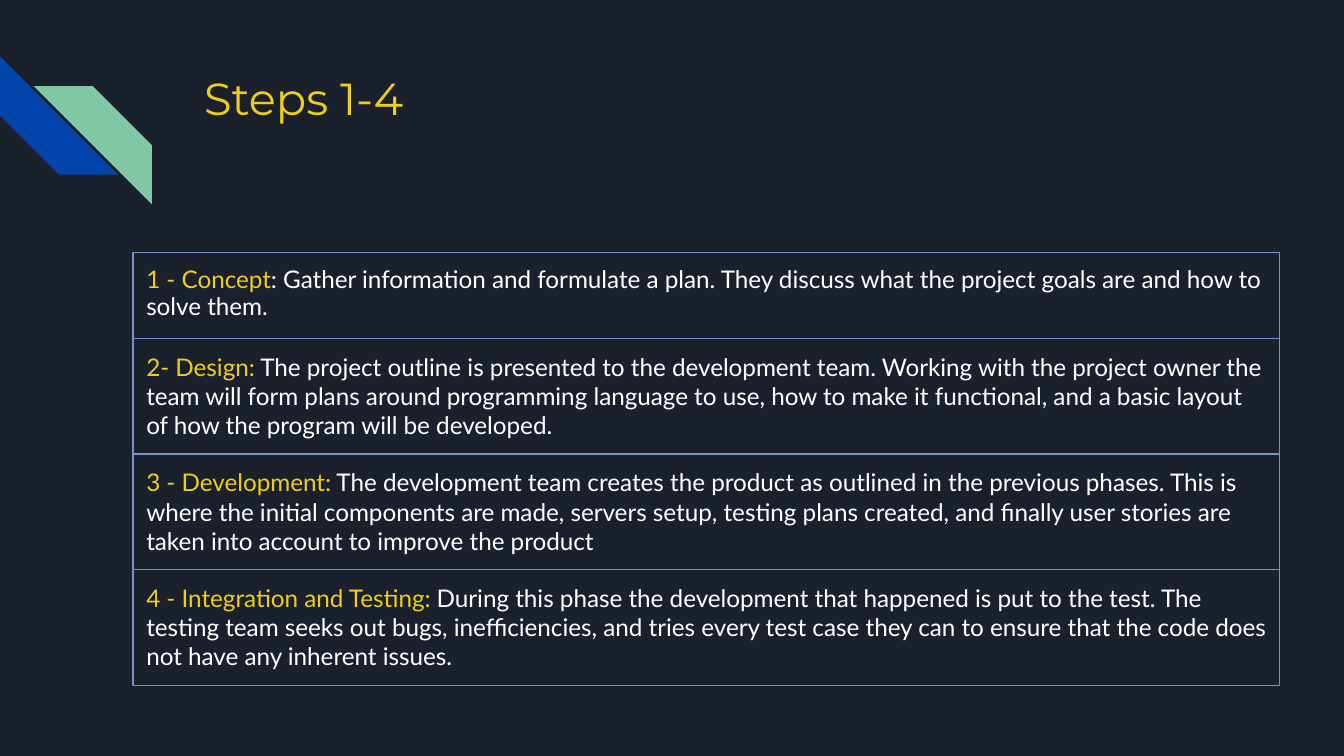
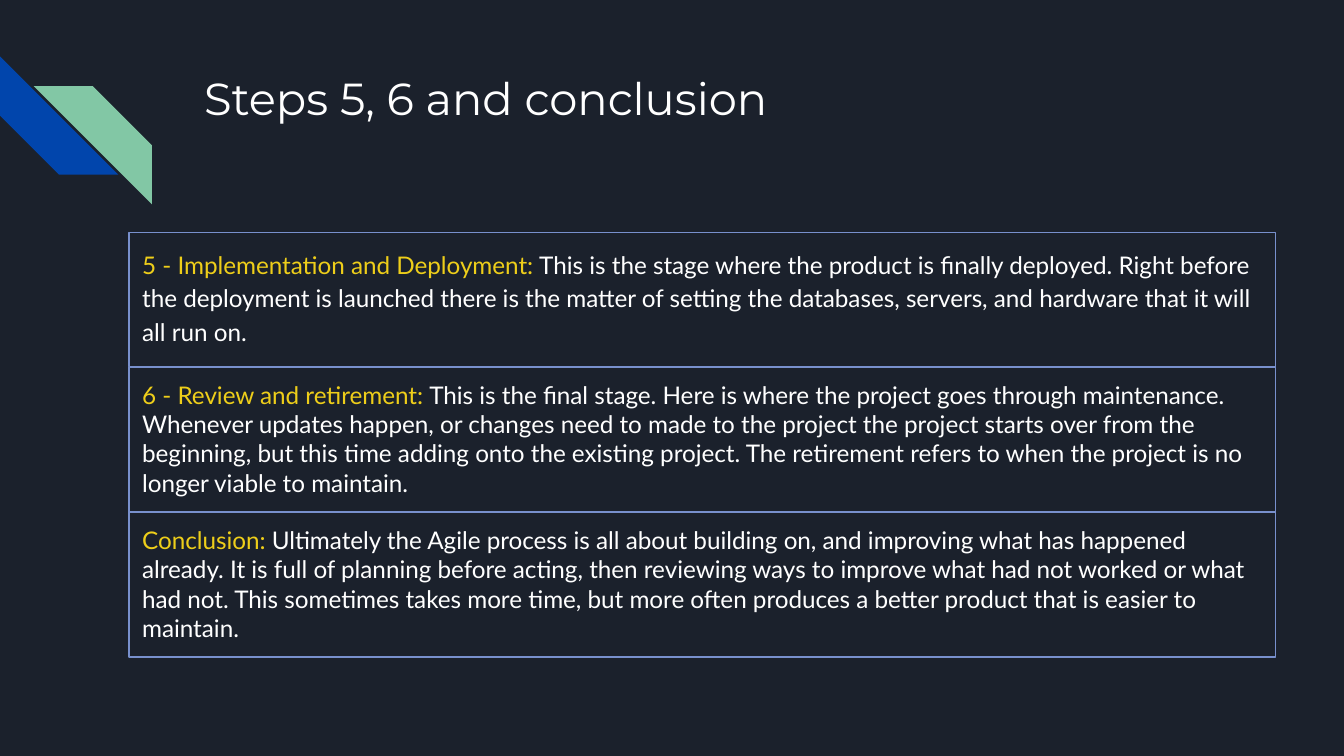
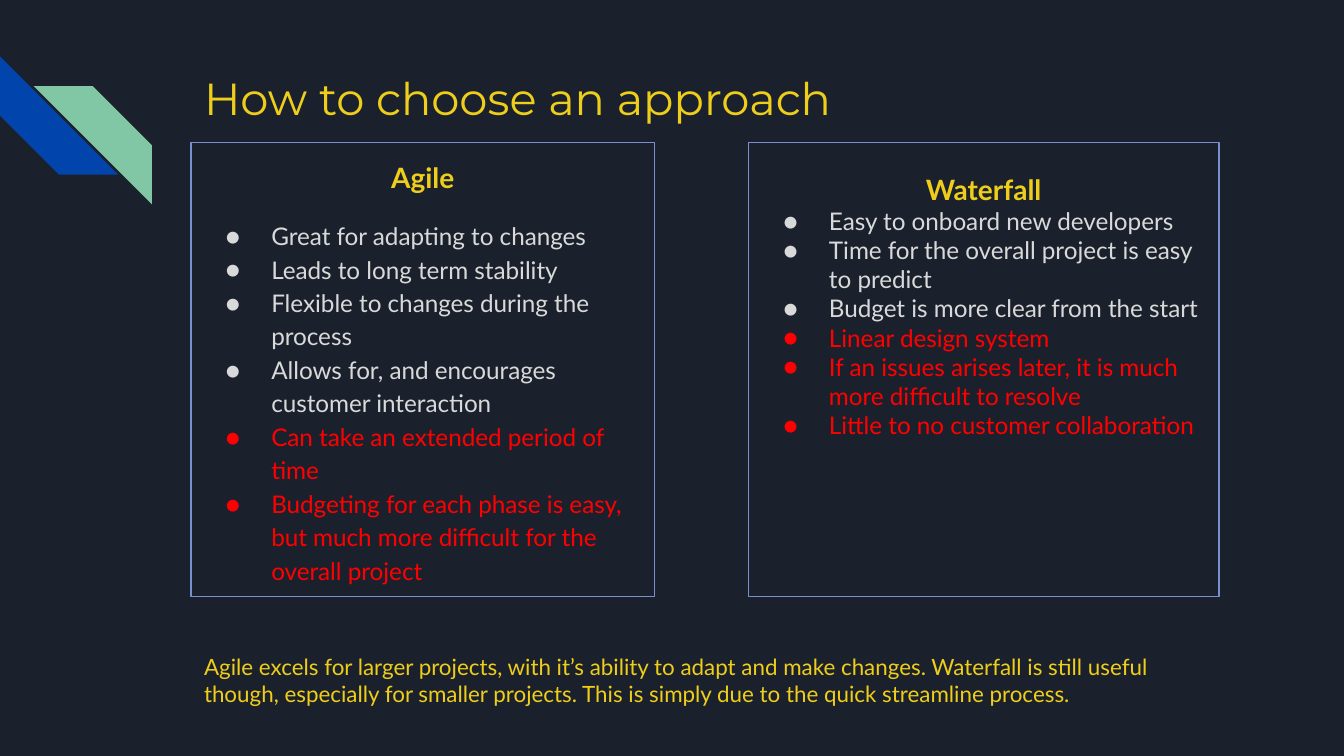
"""Builds three slides on the steps of the Agile process and the choice of an approach."""
from lxml.etree import SubElement
from pptx import Presentation
from pptx.dml.color import RGBColor
from pptx.enum.shapes import MSO_SHAPE as Preset
from pptx.enum.text import MSO_ANCHOR as Anchor, PP_ALIGN as Align
from pptx.oxml.ns import qn
from pptx.util import Inches, Pt

COLORS = {
    "background": "1B212C",
    "blue": "0145AC",
    "green": "82C7A5",
    "border": "7890CD",
    "yellow": "EECE1A",
    "white": "FFFFFF",
    "pro": "D9D9D9",
    "con": "FF0000",
}
BODY_FONT = "Lato"
TITLE_FONT = "Montserrat"
CONTENT_LEFT = 1.42

STEPS_1_TO_4 = [
    (0.64, "1 - Concept", ": Gather information and formulate a plan. They discuss what the "
     "project goals are and how to solve them."),
    (0.86, "2- Design:", " The project outline is presented to the development team. Working with "
     "the project owner the team will form plans around programming language to use, how to make "
     "it functional, and a basic layout of how the program will be developed."),
    (0.86, "3 - Development:", " The development team creates the product as outlined in the "
     "previous phases. This is where the initial components are made, servers setup, testing plans "
     "created, and finally user stories are taken into account to improve the product"),
    (0.86, "4 - Integration and Testing:", " During this phase the development that happened is "
     "put to the test. The testing team seeks out bugs, inefficiencies, and tries every test case "
     "they can to ensure that the code does not have any inherent issues."),
]
STEPS_5_TO_END = [
    (1.0, "5 - Implementation and Deployment: ", "This is the stage where the product is finally "
     "deployed. Right before the deployment is launched there is the matter of setting the "
     "databases, servers, and hardware that it will all run on."),
    (1.08, "6 - Review and retirement: ", "This is the final stage. Here is where the project goes "
     "through maintenance. Whenever updates happen, or changes need to made to the project the "
     "project starts over from the beginning, but this time adding onto the existing project. The "
     "retirement refers to when the project is no longer viable to maintain."),
    (1.08, "Conclusion:", " Ultimately the Agile process is all about building on, and improving "
     "what has happened already. It is full of planning before acting, then reviewing ways to "
     "improve what had not worked or what had not. This sometimes takes more time, but more often "
     "produces a better product that is easier to maintain."),
]
AGILE_PROS = [
    "Great for adapting to changes",
    "Leads to long term stability",
    "Flexible to changes during the process",
    "Allows for, and encourages customer interaction",
]
AGILE_CONS = [
    "Can take an extended period of time",
    "Budgeting for each phase is easy, but much more difficult for the overall project",
]
WATERFALL_PROS = [
    "Easy to onboard new developers",
    "Time for the overall project is easy to predict",
    "Budget is more clear from the start",
]
WATERFALL_CONS = [
    "Linear design system",
    "If an issues arises later, it is much more difficult to resolve",
    "Little to no customer collaboration",
]
SUMMARY = (
    "Agile excels for larger projects, with it’s ability to adapt and make changes. Waterfall is "
    "still useful though, especially for smaller projects. This is simply due to the quick "
    "streamline process."
)


def rgb(name):
    """Return the named colour."""
    return RGBColor.from_string(COLORS[name])


def add_bullet(paragraph, color):
    """Give the paragraph a hanging round bullet."""
    properties = paragraph._p.get_or_add_pPr()
    properties.set("marL", str(Inches(0.5)))
    properties.set("indent", str(Inches(-0.34)))
    bullet_color = SubElement(properties, qn("a:buClr"))
    SubElement(bullet_color, qn("a:srgbClr"), val=COLORS[color])
    SubElement(properties, qn("a:buFont"), typeface=BODY_FONT)
    SubElement(properties, qn("a:buChar"), char="●")


def add_text(frame, text, color="white", size=13, font=BODY_FONT, bold=False, lead="",
             align=Align.LEFT, line_spacing=1.0, before=0, bullet=False):
    """Add a paragraph, with an optional yellow lead, to the text frame."""
    paragraph = frame.paragraphs[0]
    if paragraph.runs:
        paragraph = frame.add_paragraph()
    paragraph.alignment = align
    paragraph.line_spacing = line_spacing
    paragraph.space_before = Pt(before)
    if bullet:
        add_bullet(paragraph, color)
    for content, run_color in ((lead, "yellow"), (text, color)):
        if content:
            run = paragraph.add_run()
            run.text = content
            run.font.name = font
            run.font.size = Pt(size)
            run.font.bold = bold
            run.font.color.rgb = rgb(run_color)


def prepare_frame(shape):
    """Set wrapping, top anchor and equal insets, and return the text frame."""
    frame = shape.text_frame
    frame.word_wrap = True
    frame.vertical_anchor = Anchor.TOP
    frame.margin_left = frame.margin_right = Inches(0.1)
    frame.margin_top = frame.margin_bottom = Inches(0.1)
    return frame


def add_text_box(slide, left, top, width, height):
    """Add a plain text box and return its frame."""
    shape = slide.shapes.add_textbox(Inches(left), Inches(top), Inches(width), Inches(height))
    return prepare_frame(shape)


def add_outlined_box(slide, left, top, width, height):
    """Add an unfilled, outlined rectangle and return its frame."""
    shape = slide.shapes.add_shape(
        Preset.RECTANGLE, Inches(left), Inches(top), Inches(width), Inches(height))
    shape.shadow.inherit = False
    shape.fill.background()
    shape.line.color.rgb = rgb("border")
    shape.line.width = Pt(0.75)
    return prepare_frame(shape)


def add_stripe(slide, left, top, rotation, color):
    """Add one diagonal stripe of the corner ornament."""
    stripe = slide.shapes.add_shape(
        Preset.DIAGONAL_STRIPE, Inches(left), Inches(top), Inches(0.88), Inches(0.88))
    stripe.rotation = rotation
    stripe.shadow.inherit = False
    stripe.fill.solid()
    stripe.fill.fore_color.rgb = rgb(color)
    stripe.line.fill.background()


def add_titled_slide(presentation, title, color="yellow"):
    """Add a slide with the corner ornament and a title."""
    slide = presentation.slides.add_slide(presentation.slide_layouts[6])
    add_stripe(slide, 0, 0.42, 270, "blue")
    add_stripe(slide, 0.25, 0.64, 90, "green")
    frame = add_text_box(slide, CONTENT_LEFT, 0.43, 7.7, 1)
    add_text(frame, title, color=color, size=24, font=TITLE_FONT)
    return slide


def add_steps(slide, left, top, steps, first_spacing):
    """Stack the step boxes without gaps."""
    spacing = first_spacing
    for height, lead, text in steps:
        frame = add_outlined_box(slide, left, top, 8.53, height)
        add_text(frame, text, lead=lead, line_spacing=spacing)
        top += height
        spacing = 1.0


def add_approach(slide, left, width, name, pros, cons, name_spacing, line_spacing=1.0, gap=0):
    """Add a box with the name of an approach and its pros and cons."""
    frame = add_outlined_box(slide, left, 1.06, width, 3.38)
    add_text(frame, name, color="yellow", size=15, bold=True, align=Align.CENTER,
             line_spacing=name_spacing)
    for color, points in (("pro", pros), ("con", cons)):
        for point in points:
            add_text(frame, point, color=color, line_spacing=line_spacing, before=gap, bullet=True)
            gap = 0


def main():
    """Build and save the presentation."""
    presentation = Presentation()
    presentation.slide_width = Inches(10)
    presentation.slide_height = Inches(10) * 9 // 16
    background = presentation.slide_master.background.fill
    background.solid()
    background.fore_color.rgb = rgb("background")

    slide = add_titled_slide(presentation, "Steps 1-4")
    add_steps(slide, 0.99, 1.88, STEPS_1_TO_4, first_spacing=0.95)

    slide = add_titled_slide(presentation, "Steps 5, 6 and conclusion", color="white")
    add_steps(slide, 0.96, 1.73, STEPS_5_TO_END, first_spacing=1.15)

    slide = add_titled_slide(presentation, "How to choose an approach")
    add_approach(slide, CONTENT_LEFT, 3.45, "Agile", AGILE_PROS, AGILE_CONS,
                 name_spacing=1.15, line_spacing=1.15, gap=12)
    add_approach(slide, 5.57, 3.5, "Waterfall", WATERFALL_PROS, WATERFALL_CONS, name_spacing=1.5)
    add_text(add_text_box(slide, CONTENT_LEFT, 4.76, 7.66, 0.61), SUMMARY, color="yellow", size=12)

    presentation.save("out.pptx")


if __name__ == "__main__":
    main()
